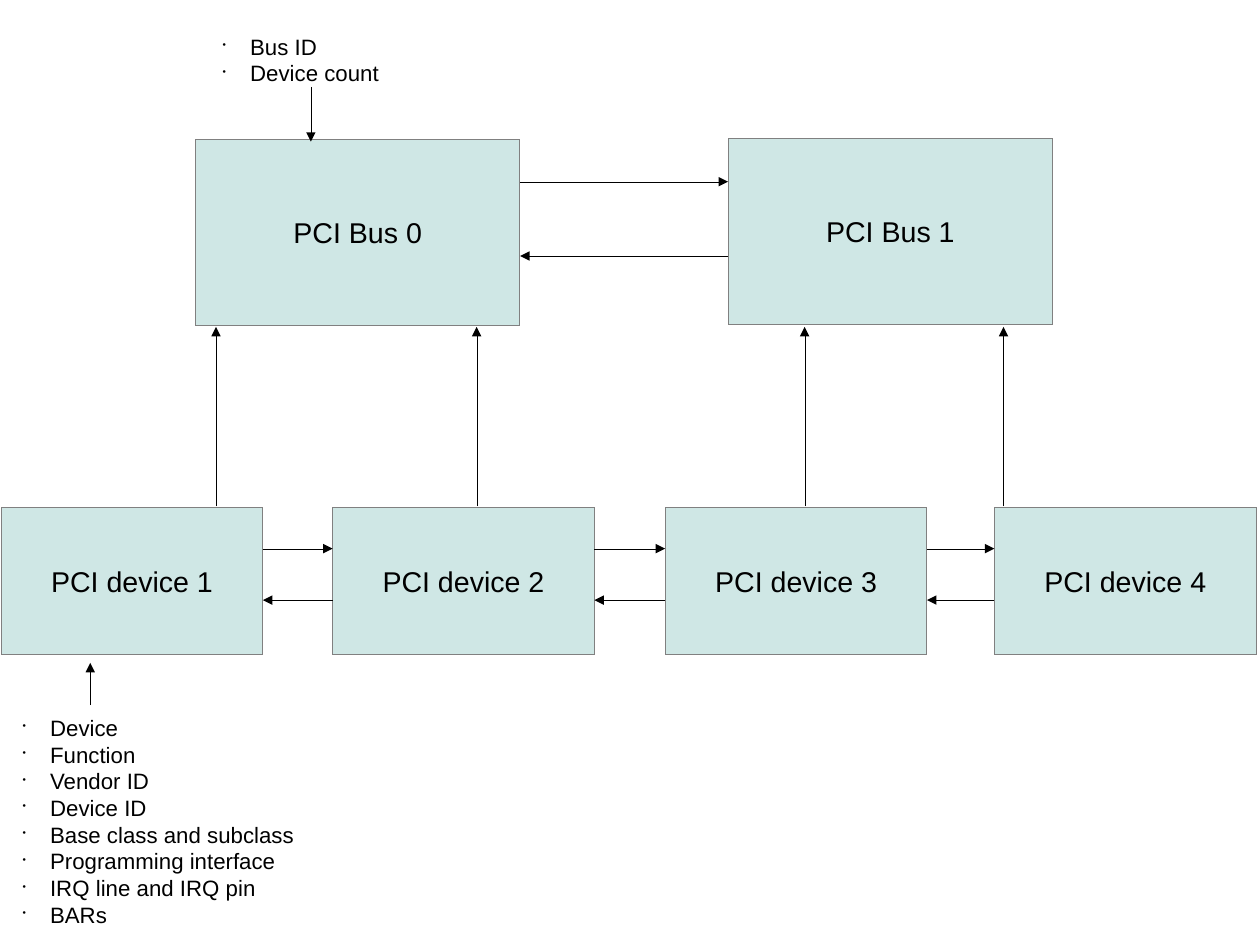
from lxml import etree
from pptx import Presentation
from pptx.dml.color import RGBColor
from pptx.enum import shapes, text
from pptx.oxml import ns
from pptx.util import Inches, Pt

# Content: label, left, top
BUSES = [("PCI Bus 0", 1.71, 1.22), ("PCI Bus 1", 6.37, 1.21)]
DEVICES = [("PCI device 1", 0.01, 4.44), ("PCI device 2", 2.91, 4.44),
           ("PCI device 3", 5.82, 4.44), ("PCI device 4", 8.7, 4.44)]
BUS_FIELDS = ["Bus ID", "Device count"]
DEVICE_FIELDS = ["Device", "Function", "Vendor ID", "Device ID",
                 "Base class and subclass", "Programming interface",
                 "IRQ line and IRQ pin", "BARs"]

# Geometry in inches; the page is 28 by 21 cm
SLIDE_SIZE = (28 / 2.54, 21 / 2.54)
BUS_SIZE = (2.84, 1.63)
DEVICE_SIZE = (2.29, 1.29)
BUS_LINK_YS = (1.59, 2.24)
DEVICE_LINK_YS = (4.8, 5.25)
UPLINK_XS = (1.89, 4.17, 7.04, 8.78)
UPLINK_YS = (4.43, 2.86)
NOTE_ARROWS = [(0.79, 6.17, 0.79, 5.8), (2.72, 0.76, 2.72, 1.24)]
BULLET_INDENT = 0.24

THEME = {
    "font": "Arial", "box_size": Pt(18), "note_size": Pt(14),
    "ink": RGBColor.from_string("000000"),
    "fill": RGBColor.from_string("CFE7E5"),
    "outline": RGBColor.from_string("808080"),
}


def style_font(paragraph, size):
    font = paragraph.font
    font.name, font.size = THEME["font"], size
    font.color.rgb = THEME["ink"]


def set_hairline(shape, color):
    # Without the theme style, a zero width draws as a hairline
    shape.element.remove(shape.element.find(ns.qn("p:style")))
    shape.line.color.rgb = color
    shape.line.width = Pt(0)


def add_box(slide, label, left, top, size):
    shape = slide.shapes.add_shape(shapes.MSO_SHAPE.RECTANGLE,
                                   *map(Inches, (left, top, *size)))
    shape.shadow.inherit = False
    shape.fill.solid()
    shape.fill.fore_color.rgb = THEME["fill"]
    set_hairline(shape, THEME["outline"])
    frame = shape.text_frame
    frame.word_wrap = False
    frame.vertical_anchor = text.MSO_ANCHOR.MIDDLE
    paragraph = frame.paragraphs[0]
    paragraph.text = label
    paragraph.alignment = text.PP_ALIGN.CENTER
    style_font(paragraph, THEME["box_size"])


def add_arrow(slide, x1, y1, x2, y2):
    connector = slide.shapes.add_connector(shapes.MSO_CONNECTOR.STRAIGHT,
                                           *map(Inches, (x1, y1, x2, y2)))
    set_hairline(connector, THEME["ink"])
    properties = connector.element.spPr
    etree.SubElement(properties.find(ns.qn("a:ln")), ns.qn("a:tailEnd"), type="triangle")
    etree.SubElement(properties, ns.qn("a:effectLst"))


def add_bullet(paragraph):
    properties = paragraph._p.get_or_add_pPr()
    properties.set("marL", str(Inches(BULLET_INDENT)))
    properties.set("indent", str(-Inches(BULLET_INDENT)))
    color = etree.SubElement(properties, ns.qn("a:buClr"))
    etree.SubElement(color, ns.qn("a:srgbClr"), val=str(THEME["ink"]))
    etree.SubElement(properties, ns.qn("a:buSzPct"), val="45000")
    etree.SubElement(properties, ns.qn("a:buChar"), char="•")


def add_note(slide, fields, left, top, width, height):
    box = slide.shapes.add_textbox(*map(Inches, (left, top, width, height)))
    frame = box.text_frame
    frame.word_wrap = True
    frame.auto_size = text.MSO_AUTO_SIZE.SHAPE_TO_FIT_TEXT
    frame.text = "\n".join(fields)
    for paragraph in frame.paragraphs:
        add_bullet(paragraph)
        style_font(paragraph, THEME["note_size"])


def main():
    presentation = Presentation()
    presentation.slide_width, presentation.slide_height = map(Inches, SLIDE_SIZE)
    # Drop the template's 4:3 screen preset: this is a custom size
    presentation.element.find(ns.qn("p:sldSz")).attrib.pop("type", None)
    slide = presentation.slides.add_slide(presentation.slide_layouts[6])

    # Each row: boxes first, then a pair of arrows between neighbours
    rows = [(BUSES, BUS_SIZE, BUS_LINK_YS), (DEVICES, DEVICE_SIZE, DEVICE_LINK_YS)]
    for boxes, size, _ in rows:
        for label, left, top in boxes:
            add_box(slide, label, left, top, size)
    for boxes, size, (forward_y, back_y) in rows:
        for (_, left, _), (_, next_left, _) in zip(boxes, boxes[1:]):
            right = left + size[0]
            add_arrow(slide, right, forward_y, next_left, forward_y)
            add_arrow(slide, next_left, back_y, right, back_y)

    # Devices point up to their bus
    for x in UPLINK_XS:
        add_arrow(slide, x, UPLINK_YS[0], x, UPLINK_YS[1])

    # Field lists and their arrows
    add_note(slide, DEVICE_FIELDS, 0.1, 6.2, 2.86, 1.85)
    add_note(slide, BUS_FIELDS, 1.85, 0.24, 2.86, 1.03)
    for ends in NOTE_ARROWS:
        add_arrow(slide, *ends)

    presentation.save("out.pptx")


if __name__ == "__main__":
    main()
